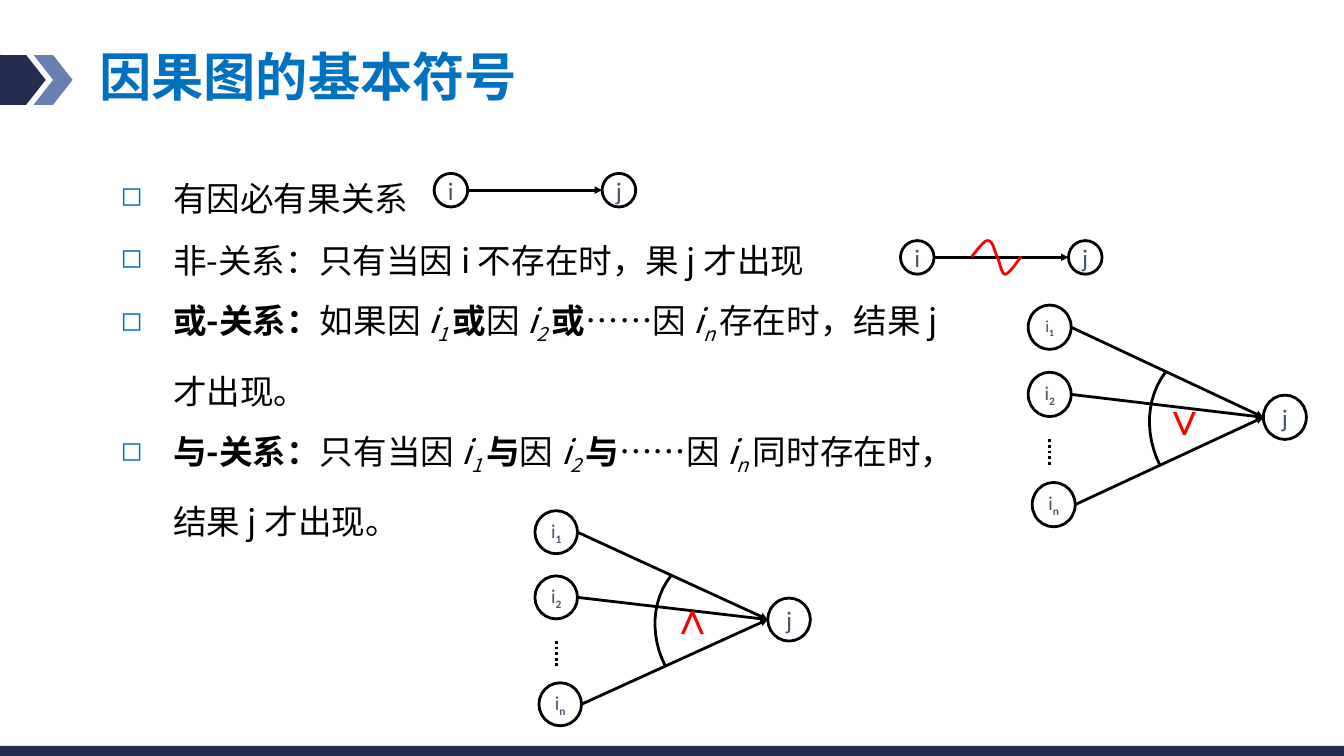
"""Build the slide on the basic symbols of cause-effect graphs."""
from typing import NamedTuple

from lxml.etree import SubElement
from pptx import Presentation
from pptx.dml.color import RGBColor
from pptx.enum.dml import MSO_LINE
from pptx.enum.shapes import MSO_CONNECTOR, MSO_SHAPE as SHAPE
from pptx.enum.text import MSO_ANCHOR as ANCHOR, PP_ALIGN as ALIGN
from pptx.oxml.ns import qn
from pptx.util import Inches, Pt

BLACK = RGBColor(0x00, 0x00, 0x00)
RED = RGBColor(0xFF, 0x00, 0x00)
BLUE = RGBColor(0x00, 0x70, 0xC0)
NAVY = RGBColor(0x24, 0x2C, 0x52)
STEEL = RGBColor(0x68, 0x80, 0xB1)
SLATE = RGBColor(0x44, 0x54, 0x6A)
CJK = "Noto Sans CJK SC"


class Span(NamedTuple):
    text: str
    bold: bool = False
    italic: bool = False
    sub: bool = False


class Item(NamedTuple):
    spans: list[Span]
    pitch: float
    font: str = CJK


class Relation(NamedTuple):
    x: float
    y: float
    negated: bool


class Gate(NamedTuple):
    x: float
    y: float
    scale_x: float
    scale_y: float
    symbol: str
    symbol_at: tuple[float, float]
    first_size: float


def indexed(index: str) -> list[Span]:
    return [Span("i", italic=True), Span(index + " ", italic=True, sub=True)]


def combined(name: str, condition: str, ending: str) -> list[Span]:
    return [Span(name + "-关系：", bold=True), Span(condition + "因 "), *indexed("1"),
            Span(name, bold=True), Span("因 "), *indexed("2"),
            Span(name, bold=True), Span("……因 "), *indexed("n"), Span(ending)]


ITEMS = [
    Item([Span("有因必有果关系")], 33, "Calibri"),
    Item([Span("非-关系：只有当因 i 不存在时，果 j 才出现")], 33),
    Item(combined("或", "如果", "存在时，结果 j 才出现。"), 35),
    Item(combined("与", "只有当", "同时存在时，结果 j 才出现。"), 35),
]
RELATIONS = [Relation(3.23, 1.29, False), Relation(6.7, 1.79, True)]
GATES = [Gate(7.65, 2.27, 1, 1, "∨", (8.55, 2.86), 9),
         Gate(3.98, 3.8, 0.99, 0.97, "∧", (4.89, 4.34), 10.5)]
CAUSES = [("1", 0, 0), ("2", 0, 0.5), ("n", 0.03, 1.32)]
ARC = [(1.03, 0.49), (0.87, 0.69), (0.87, 0.97), (0.98, 1.19)]
WAVE = [(0.53, 0.12), (0.58, 0.06), (0.62, 0), (0.65, 0), (0.69, 0), (0.7, 0.08), (0.72, 0.12),
        (0.74, 0.16), (0.75, 0.25), (0.78, 0.25), (0.81, 0.25), (0.88, 0.14), (0.9, 0.12)]


def write(paragraph, spans: list[Span], *, size: float, color: RGBColor,
          font: str = CJK, east_font: str = CJK) -> None:
    for span in spans:
        run = paragraph.add_run()
        run.text = span.text
        run.font.size = Pt(size)
        run.font.name = font
        run.font.bold = span.bold
        run.font.italic = span.italic
        run.font.color.rgb = color
        properties = run.font._element
        SubElement(properties, qn("a:ea")).set("typeface", east_font)
        if span.sub:
            properties.set("baseline", "-25000")


def add_bullet(paragraph) -> None:
    properties = paragraph._p.get_or_add_pPr()
    properties.set("marL", str(Inches(0.39)))
    properties.set("indent", str(Inches(-0.39)))
    color = SubElement(properties, qn("a:buClr"))
    SubElement(color, qn("a:srgbClr")).set("val", str(BLUE))
    SubElement(properties, qn("a:buSzPct")).set("val", "80000")
    SubElement(properties, qn("a:buChar")).set("char", "◻")


def text_frame(slide, x: float, y: float, width: float, height: float):
    frame = slide.shapes.add_textbox(Inches(x), Inches(y), Inches(width), Inches(height)).text_frame
    frame.word_wrap = True
    return frame


def block(slide, kind: SHAPE, x: float, y: float, width: float, height: float,
          color: RGBColor):
    shape = slide.shapes.add_shape(kind, Inches(x), Inches(y), Inches(width), Inches(height))
    shape.shadow.inherit = False
    shape.fill.solid()
    shape.fill.fore_color.rgb = color
    shape.line.fill.background()
    return shape


def node(slide, x: float, y: float, width: float, height: float,
         spans: list[Span], size: float) -> None:
    circle = slide.shapes.add_shape(SHAPE.OVAL, Inches(x), Inches(y), Inches(width), Inches(height))
    circle.shadow.inherit = False
    circle.fill.background()
    circle.line.color.rgb = BLACK
    circle.line.width = Pt(1.5)
    frame = circle.text_frame
    frame.word_wrap = False
    frame.vertical_anchor = ANCHOR.MIDDLE
    label = frame.paragraphs[0]
    label.alignment = ALIGN.CENTER
    write(label, spans, size=size, color=SLATE, font="Calibri")


def link(slide, start: tuple[float, float], end: tuple[float, float],
         dotted: bool = False) -> None:
    line = slide.shapes.add_connector(MSO_CONNECTOR.STRAIGHT, *map(Inches, start + end))
    line.line.color.rgb = BLACK
    line.line.width = Pt(1.5)
    if dotted:
        line.line.dash_style = MSO_LINE.ROUND_DOT
    else:
        head = SubElement(line.line._get_or_add_ln(), qn("a:tailEnd"))
        for key, value in (("type", "triangle"), ("w", "sm"), ("len", "sm")):
            head.set(key, value)
    SubElement(line._element.spPr, qn("a:effectLst"))


def curve(slide, controls: list[tuple[float, float]], color: RGBColor, steps: int = 12) -> None:
    points = []
    for first in range(0, len(controls) - 1, 3):
        for step in range(1, steps + 1):
            t = step / steps
            weights = ((1 - t) ** 3, 3 * t * (1 - t) ** 2, 3 * t * t * (1 - t), t ** 3)
            points.append(tuple(
                Inches(sum(weight * point[axis] for weight, point
                           in zip(weights, controls[first:first + 4])))
                for axis in (0, 1)))
    builder = slide.shapes.build_freeform(*map(Inches, controls[0]))
    builder.add_line_segments(points, close=False)
    outline = builder.convert_to_shape()
    outline.shadow.inherit = False
    outline.fill.background()
    outline.line.color.rgb = color
    outline.line.width = Pt(1.5)


def draw_relation(slide, relation: Relation) -> None:
    x, y, side = relation.x, relation.y, 0.25
    for name, offset in (("i", 0), ("j", 1.25)):
        node(slide, x + offset, y, side, side, [Span(name)], 13.5)
    link(slide, (x + side, y + side / 2), (x + 1.25, y + side / 2))
    if relation.negated:
        curve(slide, [(x + dx, y + dy) for dx, dy in WAVE], RED)


def draw_gate(slide, gate: Gate) -> None:
    def place(dx: float, dy: float) -> tuple[float, float]:
        return gate.x + dx * gate.scale_x, gate.y + dy * gate.scale_y

    width, height = 0.32 * gate.scale_x, 0.33 * gate.scale_y
    effect = place(1.75, 0.67)
    node(slide, *effect, width, height, [Span("j")], 13.5)
    for index, dx, dy in CAUSES:
        x, y = place(dx, dy)
        size = gate.first_size if index == "1" else 10.5
        node(slide, x, y, width, height, [Span("i"), Span(index, bold=True, sub=True)], size)
        link(slide, (x + width, y + height / 2), (effect[0], effect[1] + height / 2))
    curve(slide, [place(*point) for point in ARC], BLACK)
    link(slide, place(0.16, 1), place(0.16, 1.19), dotted=True)
    write(text_frame(slide, *gate.symbol_at, 0.4, 0.5).paragraphs[0],
          [Span(gate.symbol, bold=True)], size=24, color=RED, font="Arial", east_font="Arial")


def main() -> None:
    deck = Presentation()
    deck.slide_width = Inches(10)
    deck.slide_height = deck.slide_width * 9 // 16
    slide = deck.slides.add_slide(deck.slide_layouts[6])
    tab = block(slide, SHAPE.ROUNDED_RECTANGLE, -0.15, 0.41, 0.35, 0.37, NAVY)
    tab.adjustments[0] = 0.1
    block(slide, SHAPE.CHEVRON, 0.25, 0.41, 0.29, 0.37, STEEL)
    block(slide, SHAPE.CHEVRON, 0.05, 0.41, 0.29, 0.37, NAVY)
    block(slide, SHAPE.RECTANGLE, 0, 5.55, 10, 0.13, NAVY)
    title = text_frame(slide, 0.64, 0.31, 8.05, 0.57)
    title.vertical_anchor = ANCHOR.MIDDLE
    title.paragraphs[0].line_spacing = 0.9
    write(title.paragraphs[0], [Span("因果图的基本符号", bold=True)], size=28, color=BLUE)
    body = text_frame(slide, 0.8, 1.12, 6.43, 2.83)
    for number, item in enumerate(ITEMS):
        paragraph = body.add_paragraph() if number else body.paragraphs[0]
        add_bullet(paragraph)
        paragraph.line_spacing = Pt(item.pitch)
        write(paragraph, item.spans, size=18, color=BLACK, font=item.font)
    for relation in RELATIONS:
        draw_relation(slide, relation)
    for gate in GATES:
        draw_gate(slide, gate)
    deck.save("out.pptx")


if __name__ == "__main__":
    main()
